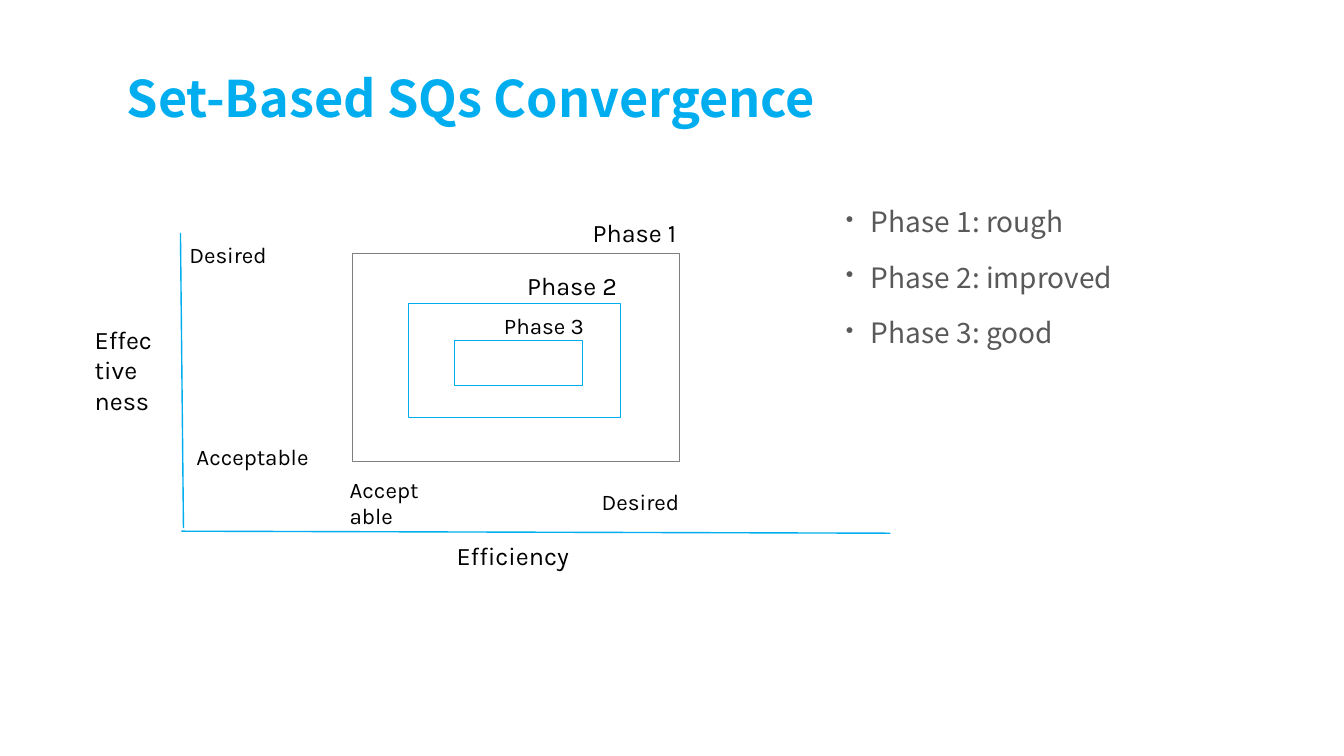
from lxml import etree
from pptx import Presentation
from pptx.dml.color import RGBColor
from pptx.enum.shapes import MSO_CONNECTOR, MSO_SHAPE
from pptx.enum.text import MSO_ANCHOR
from pptx.oxml.ns import qn
from pptx.util import Inches, Pt

STRAIGHT = MSO_CONNECTOR.STRAIGHT
RECTANGLE = MSO_SHAPE.RECTANGLE
TOP, BOTTOM = MSO_ANCHOR.TOP, MSO_ANCHOR.BOTTOM

BLUE = RGBColor(0x00, 0xAE, 0xEF)
GRAY = RGBColor(0x7F, 0x7F, 0x7F)
TEXT_GRAY = RGBColor(0x59, 0x59, 0x59)
BLACK = RGBColor(0x00, 0x00, 0x00)

HEADING_FONT = "Noto Sans CJK SC"
LABEL_FONT = "Karla"

PHASE_NOTES = ["Phase 1: rough", "Phase 2: improved", "Phase 3: good"]

# Left, top, width, height, line colour
PHASE_BOXES = [
    (3.5, 2.51, 3.24, 2.07, GRAY),
    (4.05, 3.01, 2.1, 1.13, BLUE),
    (4.51, 3.38, 1.27, 0.44, BLUE),
]

# Text, left, top, width, height, size
LABELS = [
    ("Effective ness", 0.84, 3.17, 0.78, 1.01, 18),
    ("Efficiency", 4.43, 5.31, 3.75, 0.4, 18),
    ("Phase 1", 5.78, 2.11, 1.72, 0.4, 18),
    ("Phase 2", 5.13, 2.63, 1.21, 0.4, 18),
    ("Phase 3", 4.9, 3.05, 1.18, 0.37, 16),
    ("Desired", 1.78, 2.34, 1.16, 0.37, 16),
    ("Acceptable", 1.85, 4.35, 1.35, 0.37, 16),
    ("Acceptable", 3.37, 4.67, 0.97, 0.64, 16),
    ("Desired", 5.87, 4.79, 1, 0.37, 16),
]


def add_text(s, text, left, top, width, height, size,
             font=LABEL_FONT, color=BLACK, bold=False, anchor=TOP):
    """Add a wrapped text box, one paragraph per line of text."""
    box = s.shapes.add_textbox(Inches(left), Inches(top),
                               Inches(width), Inches(height))
    tf = box.text_frame
    tf.word_wrap = True
    tf.vertical_anchor = anchor
    tf.text = text
    for p in tf.paragraphs:
        for r in p.runs:
            r.font.name = font
            r.font.size = Pt(size)
            r.font.bold = bold
            r.font.color.rgb = color
    return tf


def add_bullet(p):
    p.line_spacing = 0.9
    p.space_before = Pt(18)
    pPr = p._p.get_or_add_pPr()
    pPr.set("marL", str(Inches(0.3)))
    pPr.set("indent", str(Inches(-0.25)))
    color = etree.SubElement(pPr, qn("a:buClr"))
    etree.SubElement(color, qn("a:srgbClr"), val=str(TEXT_GRAY))
    etree.SubElement(pPr, qn("a:buSzPct"), val="80000")
    etree.SubElement(pPr, qn("a:buChar"), char="•")


def add_axis(s, x1, y1, x2, y2):
    axis = s.shapes.add_connector(STRAIGHT, Inches(x1), Inches(y1),
                                  Inches(x2), Inches(y2))
    axis.line.color.rgb = BLUE
    axis.line.width = Pt(1)
    etree.SubElement(axis._element.spPr, qn("a:effectLst"))


def add_phase_box(s, left, top, width, height, color):
    box = s.shapes.add_shape(RECTANGLE, Inches(left), Inches(top),
                             Inches(width), Inches(height))
    box.shadow.inherit = False
    box.fill.background()
    box.line.color.rgb = color
    box.line.width = Pt(0.5)


def main():
    prs = Presentation()
    prs.slide_width, prs.slide_height = Inches(13.33), Inches(7.5)
    s = prs.slides.add_slide(prs.slide_layouts[6])

    title = add_text(s, "Set-Based SQs Convergence", 1.16, 0.58, 9.5, 0.73, 36,
                     HEADING_FONT, BLUE, bold=True, anchor=BOTTOM)
    title.paragraphs[0].line_spacing = 0.8

    notes = add_text(s, "\n".join(PHASE_NOTES), 8.24, 2.02, 4.02, 4.25, 20,
                     HEADING_FONT, TEXT_GRAY)
    for p in notes.paragraphs:
        add_bullet(p)

    add_axis(s, 1.79, 2.31, 1.82, 5.24)
    add_axis(s, 1.8, 5.27, 8.83, 5.29)
    for box in PHASE_BOXES:
        add_phase_box(s, *box)
    for label in LABELS:
        add_text(s, *label)

    prs.save("out.pptx")


if __name__ == "__main__":
    main()
